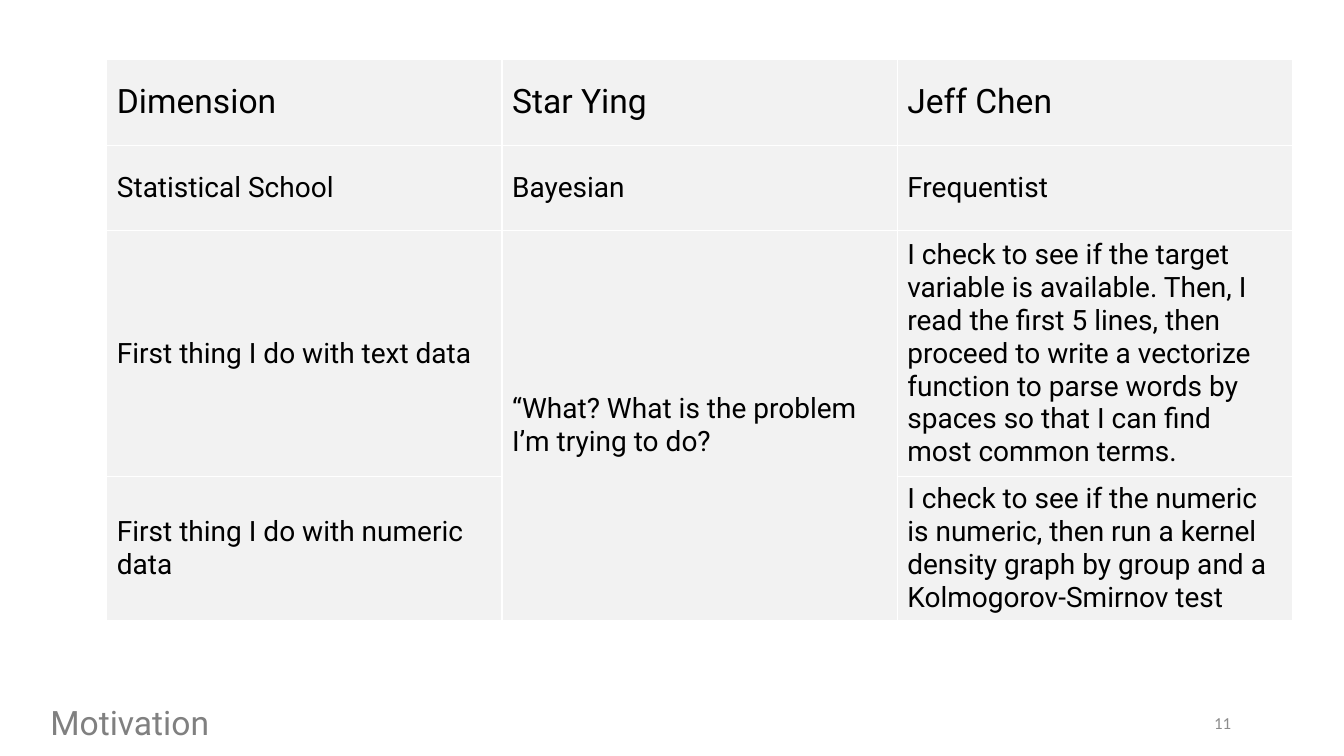
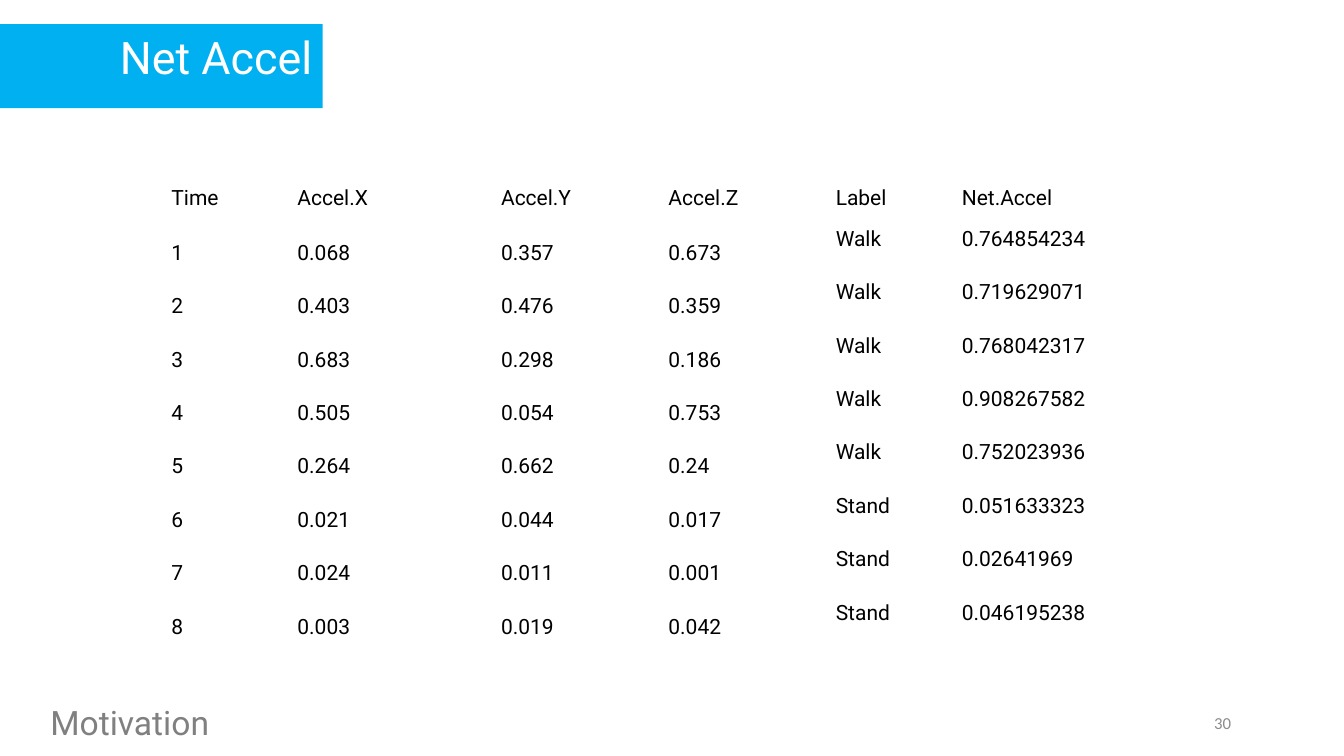
import pptx
import pptx.dml.color
import pptx.enum.shapes
import pptx.enum.text
import pptx.oxml
import pptx.oxml.ns
import pptx.util

Inches = pptx.util.Inches
Pt = pptx.util.Pt
ALIGN = pptx.enum.text.PP_ALIGN
ANCHOR = pptx.enum.text.MSO_ANCHOR
GROW = pptx.enum.text.MSO_AUTO_SIZE.SHAPE_TO_FIT_TEXT

BLACK, WHITE = "000000", "FFFFFF"
PANEL, BLUE = "F2F2F2", "00B0F0"
GREY, NUMBER_GREY = "808080", "8C8C8C"
TITLE_ONLY, BLANK = 5, 6

SCHOOLS = [
    ["Dimension", "Star Ying", "Jeff Chen"],
    ["Statistical School", "Bayesian", "Frequentist"],
    ["First thing I do with text data",
     "“What? What is the problem I’m trying to do?",
     "I check to see if the target variable is available. Then, I read the first 5 lines, "
     "then proceed to write a vectorize function to parse words by spaces so that I can "
     "find most common terms."],
    ["First thing I do with numeric data", "",
     "I check to see if the numeric is numeric, then run a kernel density graph by group "
     "and a Kolmogorov-Smirnov test"],
]

READINGS = [
    ["Time", "Accel.X", "Accel.Y", "Accel.Z", "Label", "Net.Accel"],
    ["1", "0.068", "0.357", "0.673", "Walk", "0.764854234"],
    ["2", "0.403", "0.476", "0.359", "Walk", "0.719629071"],
    ["3", "0.683", "0.298", "0.186", "Walk", "0.768042317"],
    ["4", "0.505", "0.054", "0.753", "Walk", "0.908267582"],
    ["5", "0.264", "0.662", "0.24", "Walk", "0.752023936"],
    ["6", "0.021", "0.044", "0.017", "Stand", "0.051633323"],
    ["7", "0.024", "0.011", "0.001", "Stand", "0.02641969"],
    ["8", "0.003", "0.019", "0.042", "Stand", "0.046195238"],
]


def rgb(value):
    """Return the colour for a hex string."""
    return pptx.dml.color.RGBColor.from_string(value)


def write(tf, text, size, color, font="Roboto", align=ALIGN.LEFT):
    """Put one formatted paragraph in a text frame."""
    p = tf.paragraphs[0]
    p.text = text
    p.alignment = align
    p.font.size = Pt(size)
    p.font.name = font
    p.font.color.rgb = rgb(color)


def add_text(slide, box, text, size, color, **style):
    """Add a wrapping text box and return its frame."""
    tf = slide.shapes.add_textbox(*map(Inches, box)).text_frame
    tf.word_wrap = True
    write(tf, text, size, color, **style)
    return tf


def add_slide(prs, layout, number):
    """Add a slide with the shared footer and slide number."""
    slide = prs.slides.add_slide(prs.slide_layouts[layout])
    tf = add_text(slide, (9.31, 6.97, 3, 0.4), str(number), 12, NUMBER_GREY,
                  font="Calibri", align=ALIGN.RIGHT)
    tf.vertical_anchor = ANCHOR.MIDDLE
    tf = add_text(slide, (0.4, 6.91, 9.79, 0.5), "Motivation", 24, GREY)
    tf.auto_size = GROW
    return slide


def set_title(slide, text):
    """Format the title as a blue tab running in from the left edge."""
    sp = slide.shapes.title
    sp.left, sp.top, sp.width, sp.height = map(Inches, (-1.83, 0.24, 5.03, 0.64))
    sp.fill.solid()
    sp.fill.fore_color.rgb = rgb(BLUE)
    tf = sp.text_frame
    tf.auto_size = GROW
    tf.vertical_anchor = ANCHOR.TOP
    write(tf, text, 32, WHITE, align=ALIGN.RIGHT)


def set_borders(cell, bottom=1):
    """Draw white rules on the four sides of a cell."""
    tc_pr = cell._tc.get_or_add_tcPr()
    for side, width in (("L", 1), ("R", 1), ("T", 1), ("B", bottom)):
        tc_pr.append(pptx.oxml.parse_xml(
            f'<a:ln{side} {pptx.oxml.ns.nsdecls("a")} w="{Pt(width)}"><a:solidFill>'
            f'<a:srgbClr val="{WHITE}"/></a:solidFill></a:ln{side}>'))


def add_table(slide, left, top, widths, heights, rows):
    """Add an unstyled table with its text sizes left to the caller."""
    frame = slide.shapes.add_table(len(rows), len(widths), Inches(left), Inches(top),
                                   Inches(sum(widths)), Inches(sum(heights)))
    table = frame.table
    table.first_row = table.horz_banding = False
    for column, width in zip(table.columns, widths):
        column.width = Inches(width)
    for row, height in zip(table.rows, heights):
        row.height = Inches(height)
    return frame


def fill_cell(cell, text, size, bottom=1, fill=None, anchor=ANCHOR.MIDDLE):
    """Write, rule and fill one table cell."""
    write(cell.text_frame, text, size, BLACK)
    cell.vertical_anchor = anchor
    set_borders(cell, bottom)
    if fill:
        cell.fill.solid()
        cell.fill.fore_color.rgb = rgb(fill)
    else:
        cell.fill.background()


def build_schools(prs):
    """Build the comparison of two statistical schools."""
    slide = add_slide(prs, BLANK, 11)
    frame = add_table(slide, 1.06, 0.59, [3.92] * 3, [0.85] * 4, SCHOOLS)
    frame.height = Inches(5.23)
    table = frame.table
    for r, row in enumerate(SCHOOLS):
        for c, text in enumerate(row):
            fill_cell(table.cell(r, c), text, 20 if r else 24, fill=PANEL)
    table.cell(2, 1).merge(table.cell(3, 1))


def build_readings(prs):
    """Build the table of accelerometer readings."""
    slide = add_slide(prs, TITLE_ONLY, 30)
    set_title(slide, "Net Accel")
    widths = [1.25, 2.02, 1.66, 1.66, 1.25, 1.75]
    table = add_table(slide, 1.69, 1.69, widths, [0.55] + [0.53] * 8, READINGS).table
    for r, row in enumerate(READINGS):
        for c, text in enumerate(row):
            cell = table.cell(r, c)
            cell.margin_left = cell.margin_top = cell.margin_right = Inches(0.01)
            cell.margin_bottom = 0
            anchor = ANCHOR.TOP if r and c > 3 else ANCHOR.MIDDLE
            fill_cell(cell, text, 15, bottom=1 if r else 3, anchor=anchor)


def main():
    """Build and save the presentation."""
    prs = pptx.Presentation()
    prs.slide_width, prs.slide_height = Inches(13.33), Inches(7.5)
    build_schools(prs)
    build_readings(prs)
    prs.save("out.pptx")


if __name__ == "__main__":
    main()
